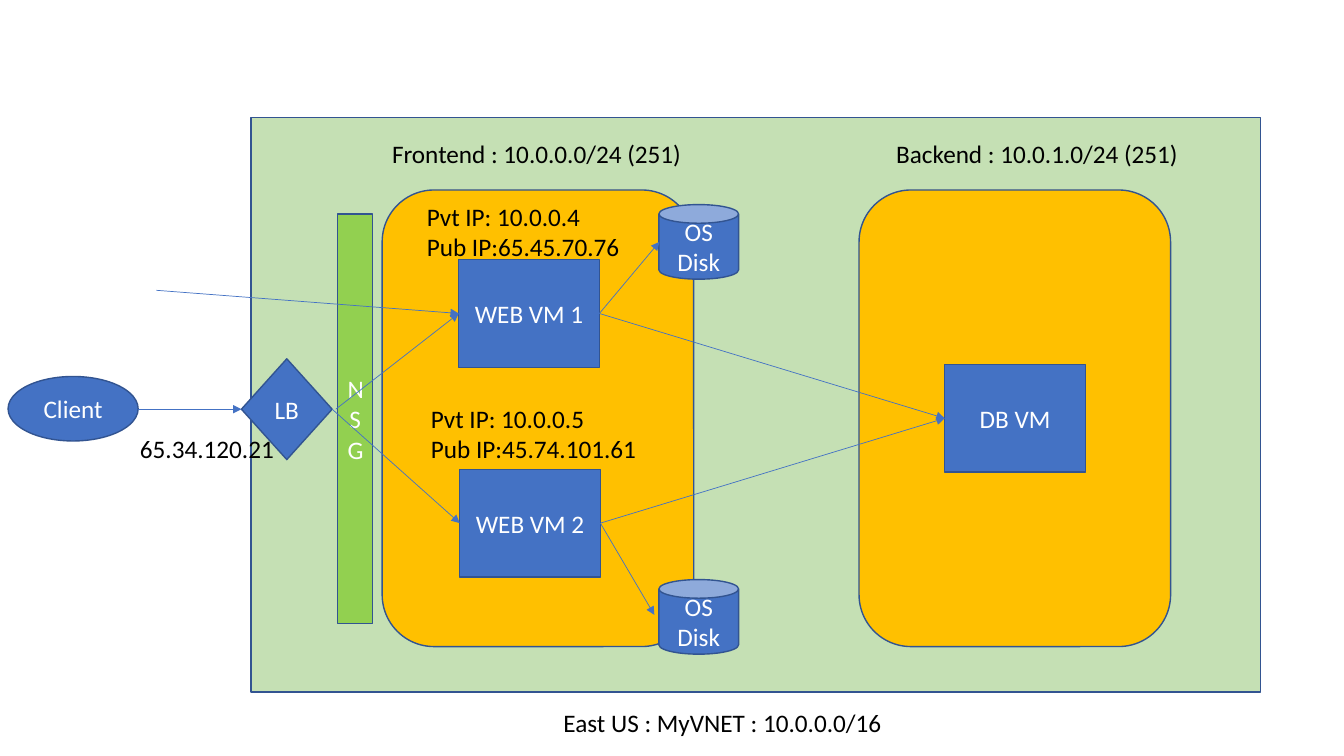
from lxml.etree import SubElement
from pptx import Presentation
from pptx.dml.color import RGBColor
from pptx.enum.shapes import MSO_CONNECTOR, MSO_SHAPE
from pptx.enum.text import MSO_ANCHOR, MSO_AUTO_SIZE, PP_ALIGN
from pptx.oxml.ns import qn
from pptx.util import Inches, Pt

ink = {"net": "C5E0B4", "sub": "FFC000", "node": "4472C4", "guard": "92D050",
       "edge": "325491", "light": "FFFFFF", "dark": "000000"}
ink = {name: RGBColor.from_string(hue) for name, hue in ink.items()}

deck = Presentation()
deck.slide_width, deck.slide_height = Inches(13.33), Inches(7.5)
slide = deck.slides.add_slide(deck.slide_layouts[6])
cell = Inches(0.1)


def grid(*spans):
    return [round(span * cell) for span in spans]


def write(shape, text, hue, form):
    frame = shape.text_frame
    for key, value in form.items():
        setattr(frame, key, value)
    frame.text = text
    for para in frame.paragraphs:
        para.alignment = PP_ALIGN.CENTER if hue == "light" else PP_ALIGN.LEFT
        for key, value in {"name": "Calibri", "size": Pt(18)}.items():
            setattr(para.font, key, value)
        para.font.color.rgb = ink[hue]


box, pill = MSO_SHAPE.RECTANGLE, MSO_SHAPE.ROUNDED_RECTANGLE
disk = MSO_SHAPE.CAN
host = (13.95, 10.7)
drum = (7.9, 7.4)
zone = (30.9, 45.3)
parts = [
    ("net", box, "net", "", (24.9, 11.65), (100.1, 57)),
    ("front", pill, "sub", "", (37.9, 18.85), zone),
    ("back", pill, "sub", "", (85.2, 18.85), zone),
    ("web1", box, "node", "WEB VM 1", (45.5, 25.75), host),
    ("db", box, "node", "DB VM", (93.7, 36.15), host),
    ("client", MSO_SHAPE.OVAL, "node", "Client", (0.8, 37.35), (12.9, 6.4)),
    ("guard", box, "guard", "N\nS\nG", (33.5, 21.25), (3.45, 40.6)),
    ("web2", box, "node", "WEB VM 2", (45.6, 46.55), host),
    ("lb", MSO_SHAPE.DIAMOND, "node", "LB", (23.95, 35.6), (9, 10)),
    ("disk1", disk, "node", "OS Disk", (65.35, 20.3), drum),
    ("disk2", disk, "node", "OS Disk", (65.35, 57.5), drum),
]
nodes = {}
for name, kind, hue, text, spot, size in parts:
    shape = nodes[name] = slide.shapes.add_shape(kind, *grid(*spot, *size))
    shape.shadow.inherit = False
    shape.fill.solid()
    shape.fill.fore_color.rgb = ink[hue]
    shape.line.color.rgb = ink["edge"]
    shape.line.width = Pt(1)
    if text:
        write(shape, text, "light", {"word_wrap": True, "vertical_anchor": MSO_ANCHOR.MIDDLE})

labels = [
    ("East US : MyVNET : 10.0.0.0/16", (54.9, 69.7), (61.2, 4), True),
    ("Frontend : 10.0.0.0/24 (251)", (37.9, 13.2), (33.3, 4), True),
    ("Backend : 10.0.1.0/24 (251)", (87.9, 13.2), (34.5, 4), True),
    ("Pvt IP: 10.0.0.4\nPub IP:65.45.70.76", (41.35, 19.5), (23.1, 7.1), True),
    ("Pvt IP: 10.0.0.5\nPub IP:45.74.101.61", (41.75, 39.5), (23.1, 7.1), True),
    ("65.34.120.21", (12.9, 42.5), (15.4, 4), False),
]
for text, spot, size, wrap in labels:
    label = slide.shapes.add_textbox(*grid(*spot, *size))
    write(label, text, "dark", {"word_wrap": wrap, "auto_size": MSO_AUTO_SIZE.SHAPE_TO_FIT_TEXT})

left, right = 1, 3
links = [
    (("web1", right), ("db", left)),
    ((13.7, 40.6), ("lb", left)),
    ((33.3, 40.6), ("web1", left)),
    (("lb", right), ("web2", left)),
    (("web2", right), ("db", left)),
    (("web1", right), (65.4, 24)),
    (("web2", right), (64.9, 61)),
    ((15.5, 28.8), ("web1", left)),
]
for start, end in links:
    ends = [(0, 0) if spot[0] in nodes else spot for spot in (start, end)]
    link = slide.shapes.add_connector(MSO_CONNECTOR.STRAIGHT, *grid(*ends[0], *ends[1]))
    for spot, join in ((start, link.begin_connect), (end, link.end_connect)):
        if spot[0] in nodes:
            join(nodes[spot[0]], spot[1])
    link.line.color.rgb = ink["node"]
    link.line.width = Pt(0.5)
    SubElement(link.line._get_or_add_ln(), qn("a:tailEnd"), type="triangle")
    SubElement(link._element.spPr, qn("a:effectLst"))

deck.save("out.pptx")
